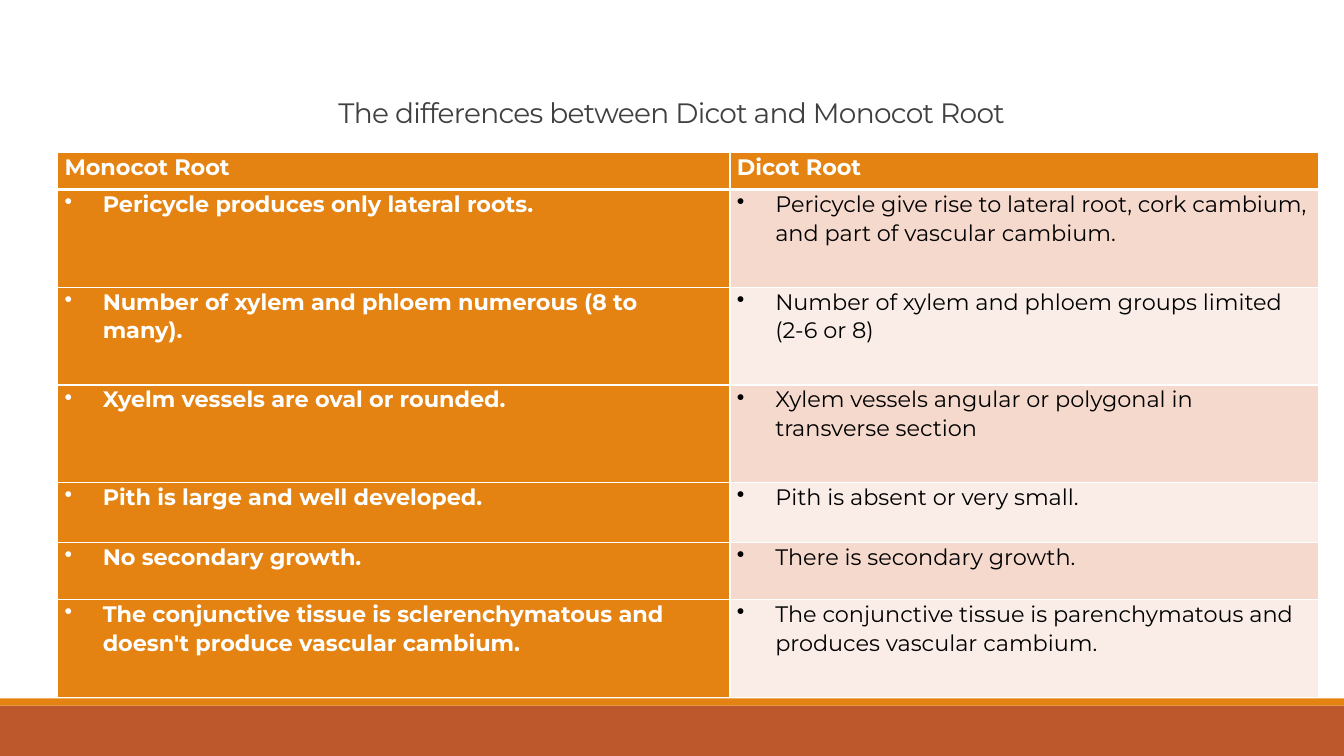
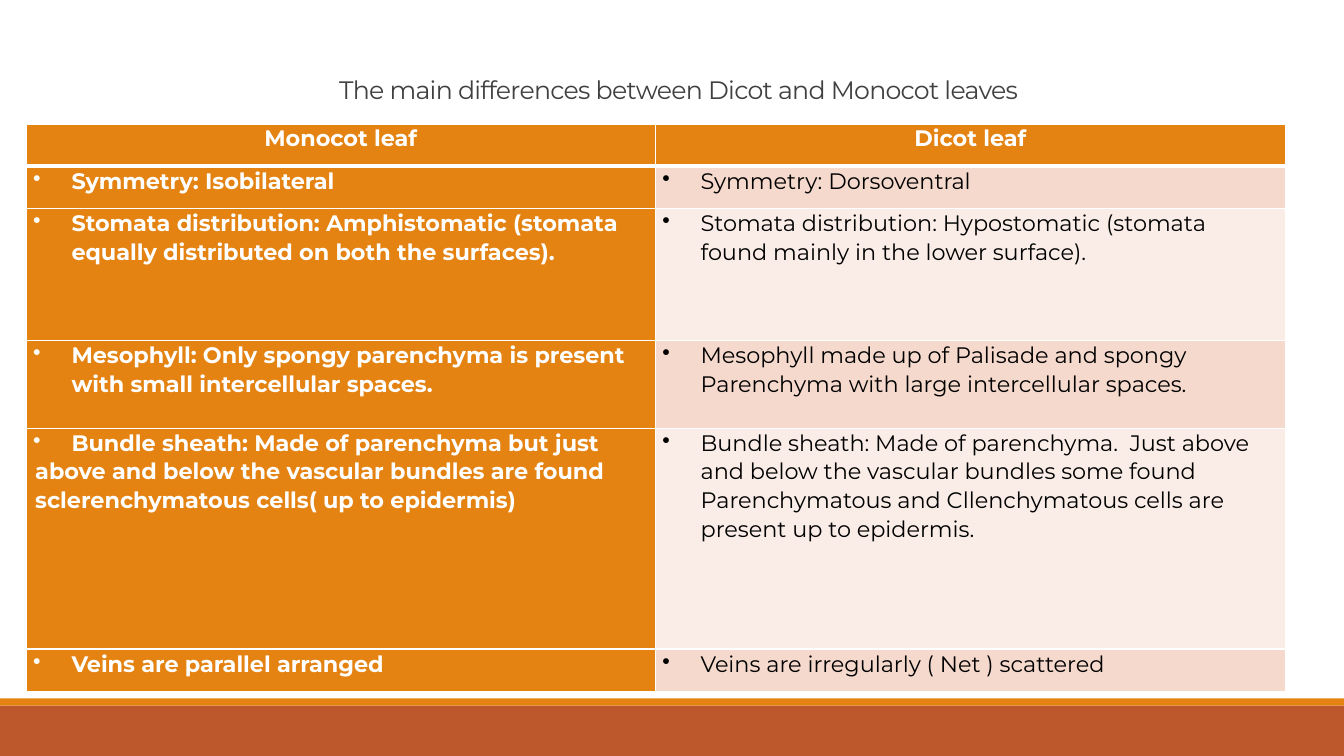
from lxml import etree
from pptx import Presentation
from pptx.dml.color import RGBColor
from pptx.enum.shapes import MSO_SHAPE
from pptx.enum.text import MSO_ANCHOR, PP_ALIGN
from pptx.oxml.ns import qn
from pptx.util import Inches, Pt

RECT = MSO_SHAPE.RECTANGLE
BOTTOM = MSO_ANCHOR.BOTTOM
LEFT, CENTER = PP_ALIGN.LEFT, PP_ALIGN.CENTER

FONT = "Montserrat"
WIDTH, HEIGHT = 13.33, 7.5
COLORS = {
    "rust": "BD582C",
    "orange": "E48312",
    "odd": "F5D9CC",
    "even": "FAEDE7",
    "title": "404040",
    "white": "FFFFFF",
    "black": "000000",
}

ROOT = {
    "title": "The differences between Dicot and Monocot Root",
    "title_box": (1.16, 0.72, 11, 0.61),
    "size": 20,
    "at": (0.57, 1.51),
    "cols": (6.67, 5.84),
    "heights": (0.37, 0.97, 0.97, 0.97, 0.59, 0.57, 0.97),
    "align": LEFT,
    "rows": [
        ("Monocot Root", "Dicot Root"),
        ("Pericycle produces only lateral roots.",
         "Pericycle give rise to lateral root, cork cambium, and part of vascular cambium."),
        ("Number of xylem and phloem numerous (8 to many).",
         "Number of xylem and phloem groups limited (2-6 or 8)"),
        ("Xyelm vessels are oval or rounded.",
         "Xylem vessels angular or polygonal in transverse section"),
        ("Pith is large and well developed.", "Pith is absent or very small."),
        ("No secondary growth.", "There is secondary growth."),
        ("The conjunctive tissue is sclerenchymatous and doesn't produce vascular cambium.",
         "The conjunctive tissue is parenchymatous and produces vascular cambium."),
    ],
}

LEAF = {
    "title": "The main differences between Dicot and Monocot leaves",
    "title_box": (1.26, 0.38, 10.94, 0.71),
    "size": 18,
    "at": (0.26, 1.23),
    "cols": (6.24, 6.25),
    "heights": (0.42, 0.42, 1.31, 0.87, 2.19, 0.42),
    "align": CENTER,
    "rows": [
        ("Monocot leaf", "Dicot leaf"),
        ("Symmetry: Isobilateral", "Symmetry: Dorsoventral"),
        ("Stomata distribution: Amphistomatic (stomata equally distributed on both the surfaces).",
         "Stomata distribution: Hypostomatic (stomata found mainly in the lower surface)."),
        ("Mesophyll: Only spongy parenchyma is present with small intercellular spaces.",
         "Mesophyll made up of Palisade and spongy Parenchyma with large intercellular spaces."),
        ("Bundle sheath: Made of parenchyma but just\n"
         "above and below the vascular bundles are found sclerenchymatous cells( up to epidermis)",
         "Bundle sheath: Made of parenchyma.  Just above and below the vascular bundles some found "
         "Parenchymatous and Cllenchymatous cells are present up to epidermis."),
        ("Veins are parallel arranged", "Veins are irregularly ( Net ) scattered"),
    ],
}


def rgb(name):
    """Return the named colour."""
    return RGBColor.from_string(COLORS[name])


def style(para, size, color, bold=False):
    """Set the font of a paragraph."""
    font = para.font
    font.name, font.size, font.bold = FONT, Pt(size), bold
    font.color.rgb = rgb(color)


def indent(para, left, first=0.0, bullet=None):
    """Indent a paragraph and give it a bullet if there is one."""
    props = para._p.get_or_add_pPr()
    props.set("marL", str(Inches(left)))
    props.set("indent", str(Inches(first)))
    if bullet:
        etree.SubElement(props, qn("a:buChar")).set("char", bullet)


def add_bands(slide):
    """Draw the two bands at the foot of a slide."""
    for top, high, color in ((7, 0.5, "rust"), (6.93, 0.07, "orange")):
        band = slide.shapes.add_shape(
            RECT, 0, Inches(top), Inches(WIDTH), Inches(high))
        band.shadow.inherit = False
        band.fill.solid()
        band.fill.fore_color.rgb = rgb(color)
        band.line.fill.background()


def add_title(slide, text, box, size):
    """Write the centred title at the bottom of its box."""
    frame = slide.shapes.add_textbox(*map(Inches, box)).text_frame
    frame.word_wrap = True
    frame.vertical_anchor = BOTTOM
    para = frame.paragraphs[0]
    para.text = text
    para.alignment = CENTER
    para.line_spacing = 0.85
    style(para, size, "title")
    para._p.pPr.find(qn("a:defRPr")).set("spc", "-50")


def add_edges(cell, row):
    """Draw white cell borders, thick below the header."""
    props = cell._tc.get_or_add_tcPr()
    thick = {(0, "B"), (1, "T")}
    for side in "LRTB":
        line = etree.SubElement(props, qn("a:ln" + side))
        line.set("w", str(Pt(3 if (row, side) in thick else 1)))
        fill = etree.SubElement(line, qn("a:solidFill"))
        etree.SubElement(fill, qn("a:srgbClr")).set("val", COLORS["white"])


def fill_cell(cell, text, row, col, align):
    """Write and colour one table cell."""
    strong = row == 0 or col == 0
    add_edges(cell, row)
    cell.fill.solid()
    cell.fill.fore_color.rgb = rgb(
        "orange" if strong else "odd" if row % 2 else "even")
    cell.margin_left = cell.margin_right = Inches(0.07)
    cell.margin_top = cell.margin_bottom = 0
    cell.text_frame.text = text
    for num, para in enumerate(cell.text_frame.paragraphs):
        if row == 0:
            para.alignment = align
        elif num == 0:
            indent(para, 0.38, -0.38, "•")
        else:
            indent(para, 0.02)
        para.line_spacing = 1.05
        style(para, 16, "white" if strong else "black", strong)


def add_grid(slide, at, cols, heights, rows, align):
    """Place the table that compares the two plants."""
    box = (*at, sum(cols), sum(heights))
    table = slide.shapes.add_table(
        len(rows), len(cols), *map(Inches, box)).table
    for col, wide in zip(table.columns, cols):
        col.width = Inches(wide)
    for row, high in zip(table.rows, heights):
        row.height = Inches(high)
    for row, texts in enumerate(rows):
        for col, text in enumerate(texts):
            fill_cell(table.cell(row, col), text, row, col, align)


def add_page(deck, page):
    """Build one slide with bands, title and table."""
    slide = deck.slides.add_slide(deck.slide_layouts[6])
    add_bands(slide)
    add_title(slide, page["title"], page["title_box"], page["size"])
    add_grid(slide, page["at"], page["cols"], page["heights"],
             page["rows"], page["align"])


def main():
    """Build and save the deck."""
    deck = Presentation()
    deck.slide_width, deck.slide_height = Inches(WIDTH), Inches(HEIGHT)
    for page in (ROOT, LEAF):
        add_page(deck, page)
    deck.save("out.pptx")


if __name__ == "__main__":
    main()
